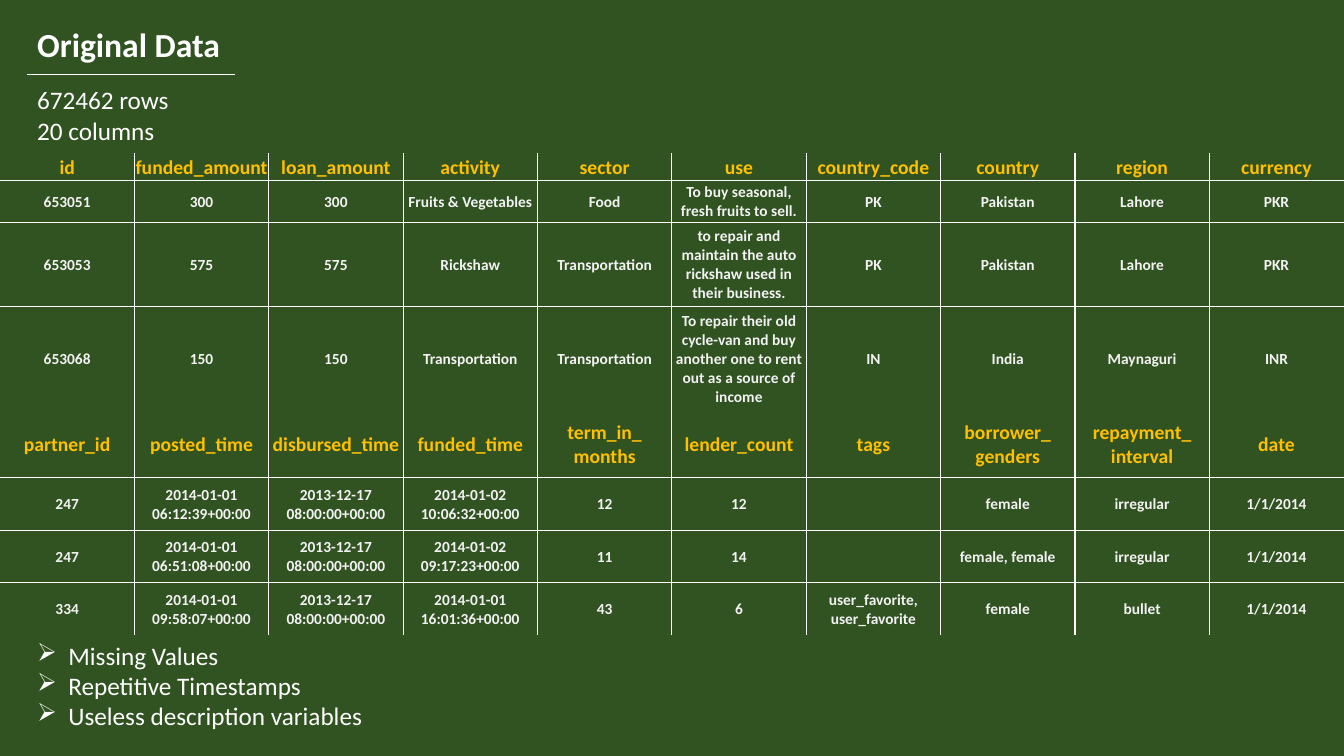
from lxml import etree
from pptx import Presentation
from pptx.dml.color import RGBColor
from pptx.enum.shapes import MSO_CONNECTOR, MSO_SHAPE
from pptx.enum.text import MSO_ANCHOR, PP_ALIGN
from pptx.oxml.ns import qn
from pptx.util import Inches, Pt

RECTANGLE = MSO_SHAPE.RECTANGLE
STRAIGHT = MSO_CONNECTOR.STRAIGHT
MIDDLE = MSO_ANCHOR.MIDDLE
LEFT, CENTER = PP_ALIGN.LEFT, PP_ALIGN.CENTER

FONT = "Calibri"
COLORS = {"green": "64A544", "shade": "000000", "white": "FFFFFF",
          "header": "FFC000", "body": "F2F2F2"}
PLAIN_TABLE_STYLE = "{2D5ABB26-0587-4C30-8999-92F81FD0307C}"
PAGE_WIDTH, PAGE_HEIGHT = 13.33, 7.5

TITLE = "Original Data"
DIMENSIONS = "672462 rows\n20 columns"
ISSUES = "Missing Values\nRepetitive Timestamps\nUseless description variables"

TABLES = [
    {"top": 1.52, "heights": [0.27, 0.42, 0.83, 1.04], "rows": [
        ["id", "funded_amount", "loan_amount", "activity", "sector", "use",
         "country_code", "country", "region", "currency"],
        ["653051", "300", "300", "Fruits & Vegetables", "Food",
         "To buy seasonal, fresh fruits to sell.",
         "PK", "Pakistan", "Lahore", "PKR"],
        ["653053", "575", "575", "Rickshaw", "Transportation",
         "to repair and maintain the auto rickshaw used in their business.",
         "PK", "Pakistan", "Lahore", "PKR"],
        ["653068", "150", "150", "Transportation", "Transportation",
         "To repair their old cycle-van and buy another one to rent out as a source of income",
         "IN", "India", "Maynaguri", "INR"],
    ]},
    {"top": 4.08, "heights": [0.66, 0.52, 0.52, 0.52], "rows": [
        ["partner_id", "posted_time", "disbursed_time", "funded_time",
         "term_in_\nmonths", "lender_count", "tags", "borrower_\ngenders",
         "repayment_\ninterval", "date"],
        ["247", "2014-01-01 06:12:39+00:00", "2013-12-17 08:00:00+00:00",
         "2014-01-02 10:06:32+00:00", "12", "12", "", "female", "irregular",
         "1/1/2014"],
        ["247", "2014-01-01 06:51:08+00:00", "2013-12-17 08:00:00+00:00",
         "2014-01-02 09:17:23+00:00", "11", "14", "", "female, female",
         "irregular", "1/1/2014"],
        ["334", "2014-01-01 09:58:07+00:00", "2013-12-17 08:00:00+00:00",
         "2014-01-01 16:01:36+00:00", "43", "6",
         "user_favorite, user_favorite", "female", "bullet", "1/1/2014"],
    ]},
]


def rgb(name):
    return RGBColor.from_string(COLORS[name])


def write(frame, text, size=18, color="white", bold=False, align=LEFT, bullet=None):
    """Put each line of text into its own paragraph of the frame."""
    frame.word_wrap = True
    for index, line in enumerate(text.split("\n")):
        para = frame.paragraphs[0] if index == 0 else frame.add_paragraph()
        para.alignment = align
        if bullet:
            props = para._p.get_or_add_pPr()
            props.set("marL", str(Inches(0.31)))
            props.set("indent", str(Inches(-0.31)))
            etree.SubElement(props, qn("a:buChar"), char=bullet)
        if line:
            span = para.add_run()
            span.text = line
            font = span.font
            font.name, font.size, font.bold = FONT, Pt(size), bold
            font.color.rgb = rgb(color)


def add_text(page, left, top, width, height, text, **style):
    box = page.shapes.add_textbox(*map(Inches, (left, top, width, height)))
    write(box.text_frame, text, **style)


def add_backdrop(page, color, opacity=100):
    panel = page.shapes.add_shape(RECTANGLE, 0, 0, Inches(PAGE_WIDTH), Inches(PAGE_HEIGHT))
    panel.shadow.inherit = False
    panel.line.fill.background()
    panel.fill.solid()
    panel.fill.fore_color.rgb = rgb(color)
    if opacity < 100:
        tone = panel._element.spPr.find(".//" + qn("a:srgbClr"))
        etree.SubElement(tone, qn("a:alpha"), val=str(opacity * 1000))


def set_borders(cell, sides):
    """Draw a white line on each side marked True and none on the others."""
    props = cell._tc.get_or_add_tcPr()
    for index, (side, shown) in enumerate(sides.items()):
        line = etree.Element(qn("a:ln" + side), w=str(Pt(1)))
        if shown:
            fill = etree.SubElement(line, qn("a:solidFill"))
            etree.SubElement(fill, qn("a:srgbClr"), val=COLORS["white"])
        else:
            etree.SubElement(line, qn("a:noFill"))
        props.insert(index, line)


def add_data_table(page, top, heights, rows):
    row_count, column_count = len(rows), len(rows[0])
    table = page.shapes.add_table(row_count, column_count, 0, Inches(top),
                                  Inches(PAGE_WIDTH), Inches(sum(heights))).table
    table.first_row = table.horz_banding = False
    table._tbl.tblPr.find(qn("a:tableStyleId")).text = PLAIN_TABLE_STYLE
    for column in table.columns:
        column.width = Inches(PAGE_WIDTH / column_count)
    for r, (height, values) in enumerate(zip(heights, rows)):
        table.rows[r].height = Inches(height)
        size, color = (14, "header") if r == 0 else (11, "body")
        for c, value in enumerate(values):
            cell = table.cell(r, c)
            cell.fill.background()
            cell.vertical_anchor = MIDDLE
            cell.margin_left = cell.margin_right = cell.margin_top = Inches(0.01)
            cell.margin_bottom = 0
            write(cell.text_frame, value, size=size, color=color, bold=True, align=CENTER)
            set_borders(cell, {"L": c > 0, "R": c < column_count - 1,
                               "T": r > 0, "B": r < row_count - 1})


def add_rule(page, left, right, top):
    rule = page.shapes.add_connector(STRAIGHT, *map(Inches, (left, top, right, top)))
    rule.line.color.rgb = rgb("white")
    rule.line.width = Pt(1)
    etree.SubElement(rule._element.spPr, qn("a:effectLst"))


def main():
    deck = Presentation()
    deck.slide_width, deck.slide_height = Inches(PAGE_WIDTH), Inches(PAGE_HEIGHT)
    page = deck.slides.add_slide(deck.slide_layouts[6])
    add_backdrop(page, "green")
    add_backdrop(page, "shade", opacity=50)
    for content in TABLES:
        add_data_table(page, **content)
    add_text(page, 0.27, 0.19, 3.01, 0.5, TITLE, size=24, bold=True)
    add_text(page, 0.27, 6.3, 3.51, 1.01, ISSUES, bullet="➢")
    add_text(page, 0.27, 0.79, 3.01, 0.71, DIMENSIONS)
    add_rule(page, 0.27, 2.33, 0.74)
    deck.save("out.pptx")


if __name__ == "__main__":
    main()
